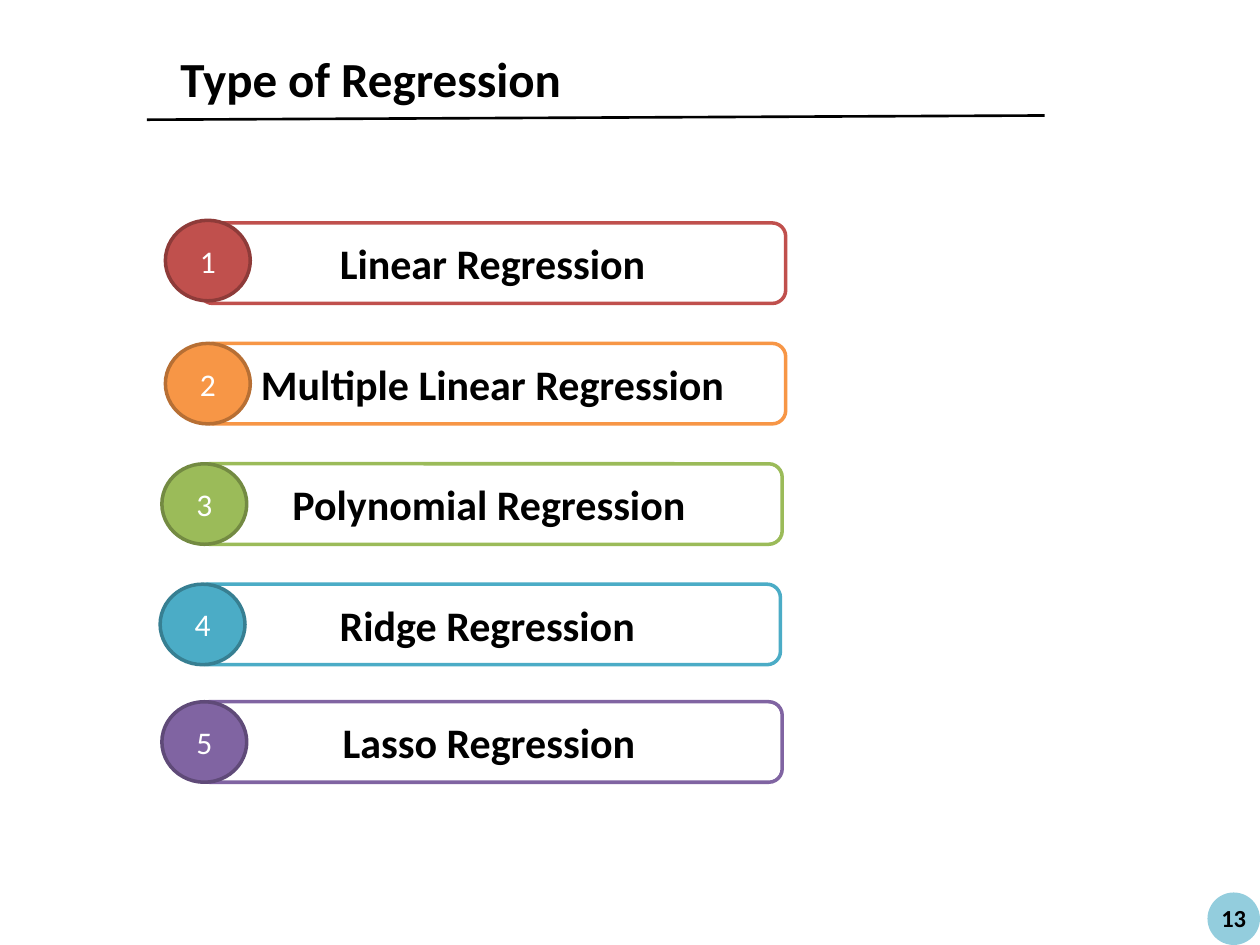
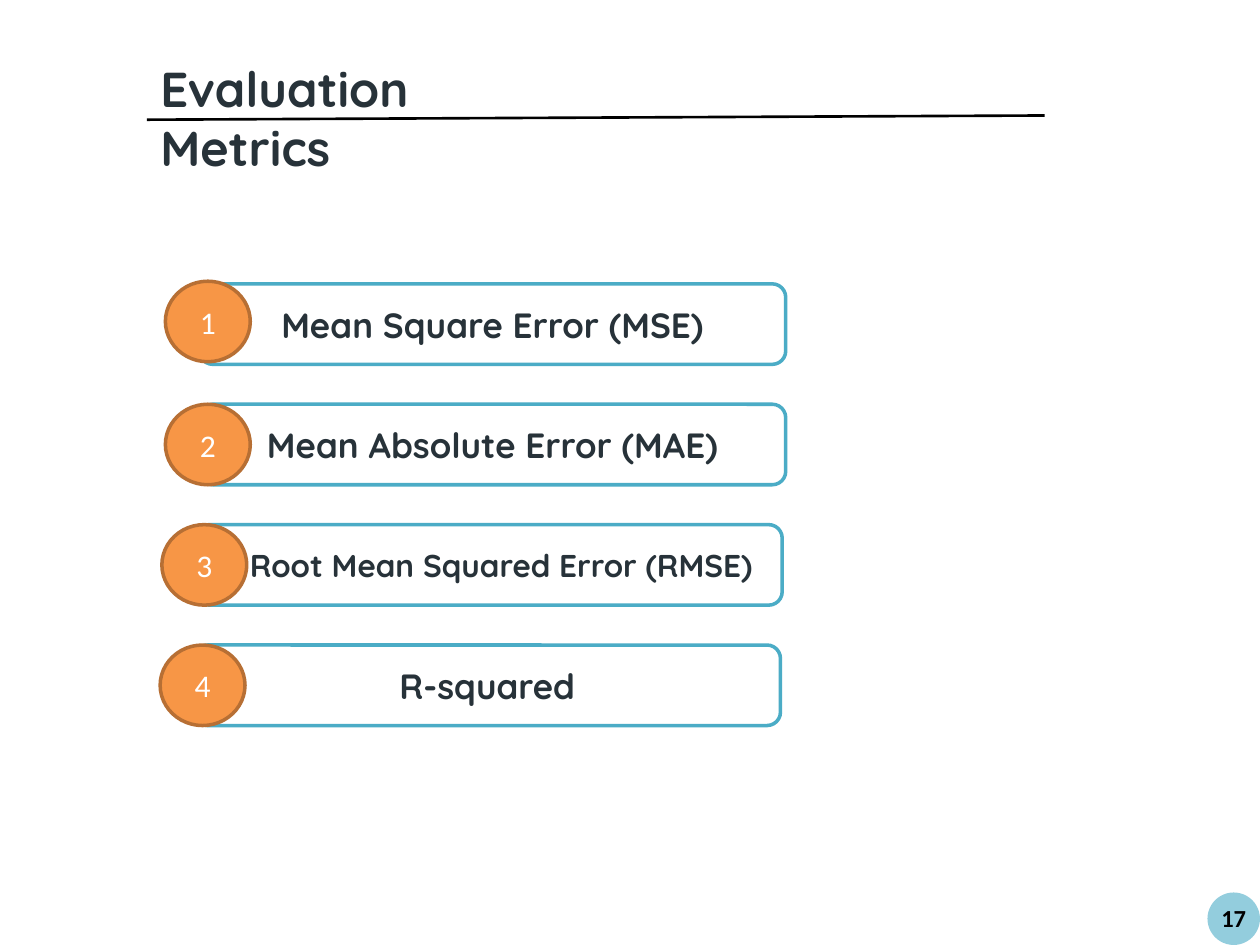
from dataclasses import dataclass

from lxml import etree
from pptx import Presentation
from pptx.dml.color import RGBColor
from pptx.enum.shapes import MSO_CONNECTOR, MSO_SHAPE
from pptx.enum.text import MSO_ANCHOR, PP_ALIGN
from pptx.oxml.ns import qn
from pptx.util import Pt

LEFT, CENTER = PP_ALIGN.LEFT, PP_ALIGN.CENTER
TOP, MIDDLE = MSO_ANCHOR.TOP, MSO_ANCHOR.MIDDLE
OVAL, ROUND = MSO_SHAPE.OVAL, MSO_SHAPE.ROUNDED_RECTANGLE
STRAIGHT = MSO_CONNECTOR.STRAIGHT


@dataclass(frozen=True)
class Theme:
    """Colours, type sizes and row layout shared by the slides."""
    black: str = "000000"
    white: str = "FFFFFF"
    ink: str = "273239"
    badge: str = "93CDDD"
    red: tuple = ("C0504D", "8E3B39")
    orange: tuple = ("F79646", "B76F34")
    green: tuple = ("9BBB59", "738A42")
    teal: tuple = ("4BACC6", "377F92")
    violet: tuple = ("8064A2", "5F4A78")
    plain: str = "Calibri"
    soft: str = "Quicksand"
    head: int = 28
    large: int = 24
    mid: int = 20
    small: int = 18
    page: int = 14
    lefts: tuple = (114, 114, 112, 111, 112)
    drops: tuple = (0, 68.8, 137.6, 206.4, 273.6)


def write(frame, text, font="Calibri", size=18, color="000000", bold=True,
          align=CENTER, anchor=MIDDLE, wrap=True, inset=7.2):
    """Put formatted text into a text frame."""
    frame.word_wrap = wrap
    frame.vertical_anchor = anchor
    frame.margin_left = Pt(inset)
    para = frame.paragraphs[0]
    para.alignment = align
    run = para.add_run()
    run.text = text
    run.font.name = font
    run.font.size = Pt(size)
    run.font.bold = bold
    run.font.color.rgb = RGBColor.from_string(color)


class Deck:
    """Hold the theme and the current slide, and draw on it."""

    def __init__(self, theme):
        """Start an empty deck."""
        self.theme = theme
        self.file = Presentation()
        self.file.slide_width, self.file.slide_height = Pt(720), Pt(540)
        self.slide = None

    def shape(self, kind, left, top, width, height, fill, edge=None):
        """Add a filled shape, outlined when an edge colour is given."""
        item = self.slide.shapes.add_shape(
            kind, Pt(left), Pt(top), Pt(width), Pt(height))
        item.shadow.inherit = False
        item.fill.solid()
        item.fill.fore_color.rgb = RGBColor.from_string(fill)
        if edge:
            item.line.color.rgb = RGBColor.from_string(edge)
            item.line.width = Pt(2)
        else:
            item.line.fill.background()
        return item.text_frame

    def label(self, left, top, width, height, text, **form):
        """Add a text box."""
        box = self.slide.shapes.add_textbox(
            Pt(left), Pt(top), Pt(width), Pt(height))
        write(box.text_frame, text, anchor=TOP, **form)

    def rule(self, left, start, right, end):
        """Add a thin black line."""
        line = self.slide.shapes.add_connector(
            STRAIGHT, Pt(left), Pt(start), Pt(right), Pt(end))
        line.line.color.rgb = RGBColor.from_string(self.theme.black)
        line.line.width = Pt(1.5)
        etree.SubElement(line._element.spPr, qn("a:effectLst"))

    def page(self, number, title, left, top, width, **form):
        """Start a slide with its title, rule and page badge."""
        look = self.theme
        self.slide = self.file.slides.add_slide(self.file.slide_layouts[6])
        self.label(left, top, width, 41, title, size=look.head, align=LEFT,
                   **form)
        self.rule(84, 68.4, 597, 66)
        self.shape(OVAL, 690, 510, 30, 30, look.badge)
        self.label(690, 512.6, 30, 24.5, number, size=look.page)

    def row(self, index, top, text, edge, disc, **form):
        """Add a numbered bar at its place in the list."""
        look = self.theme
        left, level = look.lefts[index], top + look.drops[index]
        bar = self.shape(ROUND, left, level, 335, 46, look.white, edge)
        write(bar, text, **form)
        lift = 0 if index else 1.5
        dot = self.shape(OVAL, left - 19.5, level - lift, 48.5, 46, *disc)
        write(dot, str(index + 1), size=look.small, color=look.white,
              bold=False)


def main():
    """Build both slides and save them."""
    look = Theme()
    deck = Deck(look)

    deck.page("13", "Type of Regression", 96, 24, 234, wrap=False)
    kinds = (("Linear", look.red), ("Multiple Linear", look.orange),
             ("Polynomial", look.green), ("Ridge", look.teal),
             ("Lasso", look.violet))
    for index, (kind, hue) in enumerate(kinds):
        deck.row(index, 127.4, f"{kind} Regression", hue[0], hue,
                 size=look.large)

    deck.page("17", "Evaluation Metrics", 84.5, 30, 250, font=look.soft,
              color=look.ink)
    scores = (("Mean Square Error (MSE)", look.mid, 7.2),
              ("Mean Absolute Error (MAE)", look.mid, 7.2),
              ("Root Mean Squared Error (RMSE)", look.small, 21),
              ("R-squared", look.mid, 7.2))
    for index, (score, size, inset) in enumerate(scores):
        deck.row(index, 162.2, score, look.teal[0], look.orange,
                 font=look.soft, size=size, color=look.ink, inset=inset)

    deck.file.save("out.pptx")


if __name__ == "__main__":
    main()
